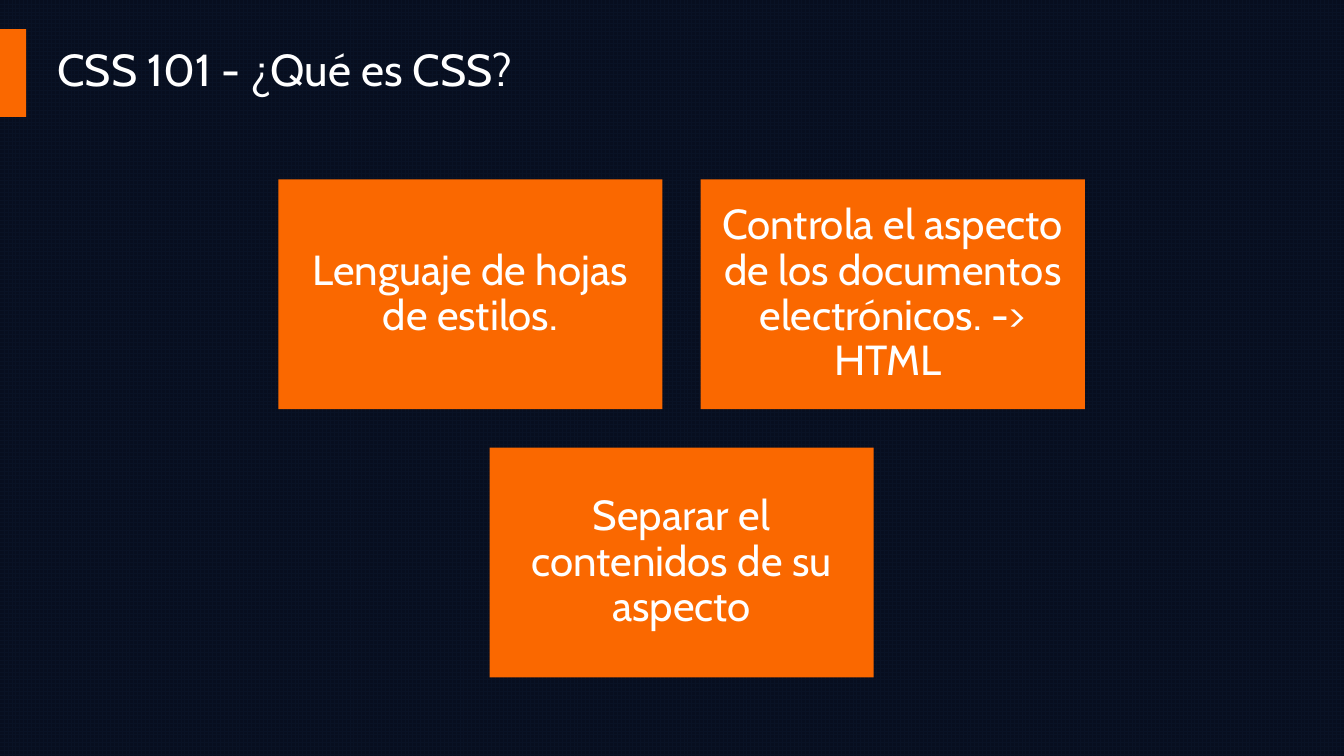
from pptx import Presentation
from pptx.dml.color import RGBColor
from pptx.enum.dml import MSO_PATTERN
from pptx.enum.shapes import MSO_SHAPE
from pptx.enum.text import MSO_ANCHOR, PP_ALIGN
from pptx.util import Inches, Pt

TITLE = "CSS 101 - ¿Qué es CSS?"
CARD_ROWS = [
    ["Lenguaje de hojas de estilos.",
     "Controla el aspecto de los documentos electrónicos. -> HTML "],
    ["Separar el contenidos de su aspecto"],
]

FONT = "Cabin"
ORANGE = RGBColor(0xFA, 0x68, 0x00)
WHITE = RGBColor(0xFF, 0xFF, 0xFF)
NAVY = RGBColor(0x07, 0x0E, 0x1F)
GRID_NAVY = RGBColor(0x09, 0x12, 0x25)
RECTANGLE = MSO_SHAPE.RECTANGLE
LARGE_GRID = MSO_PATTERN.LARGE_GRID
MIDDLE = MSO_ANCHOR.MIDDLE
LEFT, CENTER = PP_ALIGN.LEFT, PP_ALIGN.CENTER

CARD_WIDTH, CARD_HEIGHT, CARD_GAP = 3.81, 2.28, 0.38
CARDS_CENTER, CARDS_TOP = 6.76, 1.78
CARD_INSET = 0.12


def add_block(page, left, top, width, height):
    block = page.shapes.add_shape(
        RECTANGLE, Inches(left), Inches(top), Inches(width), Inches(height))
    block.shadow.inherit = False
    block.fill.solid()
    block.fill.fore_color.rgb = ORANGE
    block.line.fill.background()
    return block


def write_text(box, text, size, align):
    frame = box.text_frame
    frame.text = text
    frame.word_wrap = True
    frame.vertical_anchor = MIDDLE
    para = frame.paragraphs[0]
    para.alignment = align
    para.line_spacing = 0.9
    font = para.runs[0].font
    font.name = FONT
    font.size = Pt(size)
    font.color.rgb = WHITE


def add_card(page, left, top, text):
    card = add_block(page, left, top, CARD_WIDTH, CARD_HEIGHT)
    write_text(card, text, 30, CENTER)
    frame = card.text_frame
    frame.margin_left = frame.margin_right = Inches(CARD_INSET)
    frame.margin_top = frame.margin_bottom = Inches(CARD_INSET)


def main():
    deck = Presentation()
    deck.slide_width, deck.slide_height = Inches(13.33), Inches(7.5)
    page = deck.slides.add_slide(deck.slide_layouts[6])

    backdrop = page.background.fill
    backdrop.patterned()
    backdrop.pattern = LARGE_GRID
    backdrop.fore_color.rgb = GRID_NAVY
    backdrop.back_color.rgb = NAVY

    add_block(page, 0, 0.29, 0.26, 0.87)
    title = page.shapes.add_textbox(
        Inches(0.47), Inches(0.29), Inches(9.45), Inches(0.85))
    write_text(title, TITLE, 32, LEFT)

    for row, texts in enumerate(CARD_ROWS):
        row_width = len(texts) * (CARD_WIDTH + CARD_GAP) - CARD_GAP
        row_left = CARDS_CENTER - row_width / 2
        top = CARDS_TOP + row * (CARD_HEIGHT + CARD_GAP)
        for column, text in enumerate(texts):
            add_card(page, row_left + column * (CARD_WIDTH + CARD_GAP), top, text)

    deck.save("out.pptx")


if __name__ == "__main__":
    main()
